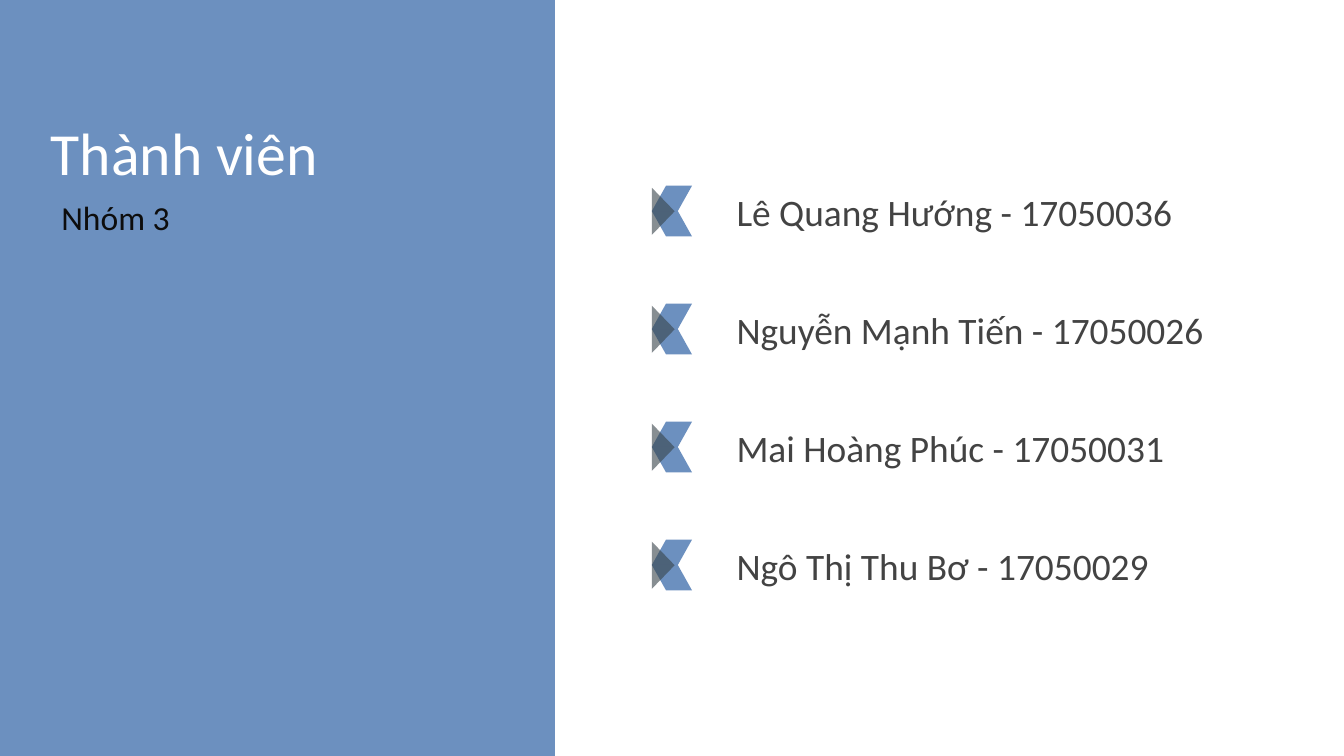
from lxml import etree
from pptx import Presentation
from pptx.dml.color import RGBColor
from pptx.enum.shapes import MSO_SHAPE as Shape
from pptx.enum.text import MSO_ANCHOR as Anchor
from pptx.oxml.ns import qn
from pptx.util import Cm, Pt

# Content
TITLE = "Thành viên"
SUBTITLE = "Nhóm 3"
MEMBERS = [
    "Lê Quang Hướng - 17050036",
    "Nguyễn Mạnh Tiến - 17050026",
    "Mai Hoàng Phúc - 17050031",
    "Ngô Thị Thu Bơ - 17050029",
]

# Colours and text formats
BLUE = RGBColor(0x5E, 0x85, 0xB9)
SLATE = RGBColor(0x38, 0x44, 0x4A)
WHITE = RGBColor(0xFF, 0xFF, 0xFF)
BLACK = RGBColor(0x0D, 0x0D, 0x0D)
GREY = RGBColor(0x43, 0x43, 0x43)
TITLE_FORMAT = {"name": "Calibri", "size": Pt(32)}
SUBTITLE_FORMAT = {"name": "Calibri", "size": Pt(18)}
MEMBER_FORMAT = {"name": "Calibri", "size": Pt(20)}

# Member rows, in cm
ROW_TOP, ROW_PITCH, ROW_HEIGHT = 3.35, 2.23, 1.3
ICON_LEFT, ICON_WIDTH, HALF_HEIGHT = 12.32, 0.76, 0.48


def add_filled(shapes, kind, place, color, opacity):
    shape = shapes.add_shape(kind, *map(Cm, place))
    shape.shadow.inherit = False
    shape.line.fill.background()
    shape.fill.solid()
    shape.fill.fore_color.rgb = color
    fill_color = shape.fill._xPr.find(qn("a:solidFill"))[0]
    etree.SubElement(fill_color, qn("a:alpha"), val=str(opacity * 1000))
    return shape


def add_text(page, text, place, font_format, color, anchor=Anchor.TOP):
    frame = page.shapes.add_textbox(*map(Cm, place)).text_frame
    frame.word_wrap = True
    frame.vertical_anchor = anchor
    for side in ("left", "top", "right", "bottom"):
        setattr(frame, f"margin_{side}", Cm(0.25))
    para = frame.paragraphs[0]
    span = para.add_run()
    span.text = text
    for name, value in font_format.items():
        setattr(span.font, name, value)
    span.font.color.rgb = color
    return para


def add_icon(page, top):
    parts = page.shapes.add_group_shape().shapes
    # Two mirrored halves form the chevron
    for half in range(2):
        place = (ICON_LEFT, top + half * HALF_HEIGHT, ICON_WIDTH, HALF_HEIGHT)
        wing = add_filled(parts, Shape.PARALLELOGRAM, place, BLUE, 91)
        wing.adjustments[0] = 0.56
        if half:
            wing._element.spPr.xfrm.set("flipH", "1")
    place = (ICON_LEFT - 0.23, top + 0.27, 0.89, 0.43)
    arrow = add_filled(parts, Shape.ISOSCELES_TRIANGLE, place, SLATE, 60)
    arrow.rotation = 90


def main():
    deck = Presentation()
    deck.slide_width, deck.slide_height = Cm(25.4), Cm(14.29)
    page = deck.slides.add_slide(deck.slide_layouts[6])

    # Left panel with headings
    add_filled(page.shapes, Shape.RECTANGLE, (0, 0, 10.49, 14.29), BLUE, 91)
    add_text(page, TITLE, (0.71, 1.93, 9.14, 4.83), TITLE_FORMAT, WHITE)
    subtitle = add_text(page, SUBTITLE, (0.91, 3.35, 8.56, 1.35),
                        SUBTITLE_FORMAT, BLACK)
    subtitle.line_spacing = 1.15
    subtitle.space_after = Pt(16)

    # Member list
    for row, member in enumerate(MEMBERS):
        top = ROW_TOP + row * ROW_PITCH
        add_icon(page, top + 0.16)
        add_text(page, member, (13.67, top, 9.78, ROW_HEIGHT),
                 MEMBER_FORMAT, GREY, Anchor.MIDDLE)

    deck.save("out.pptx")


if __name__ == "__main__":
    main()
